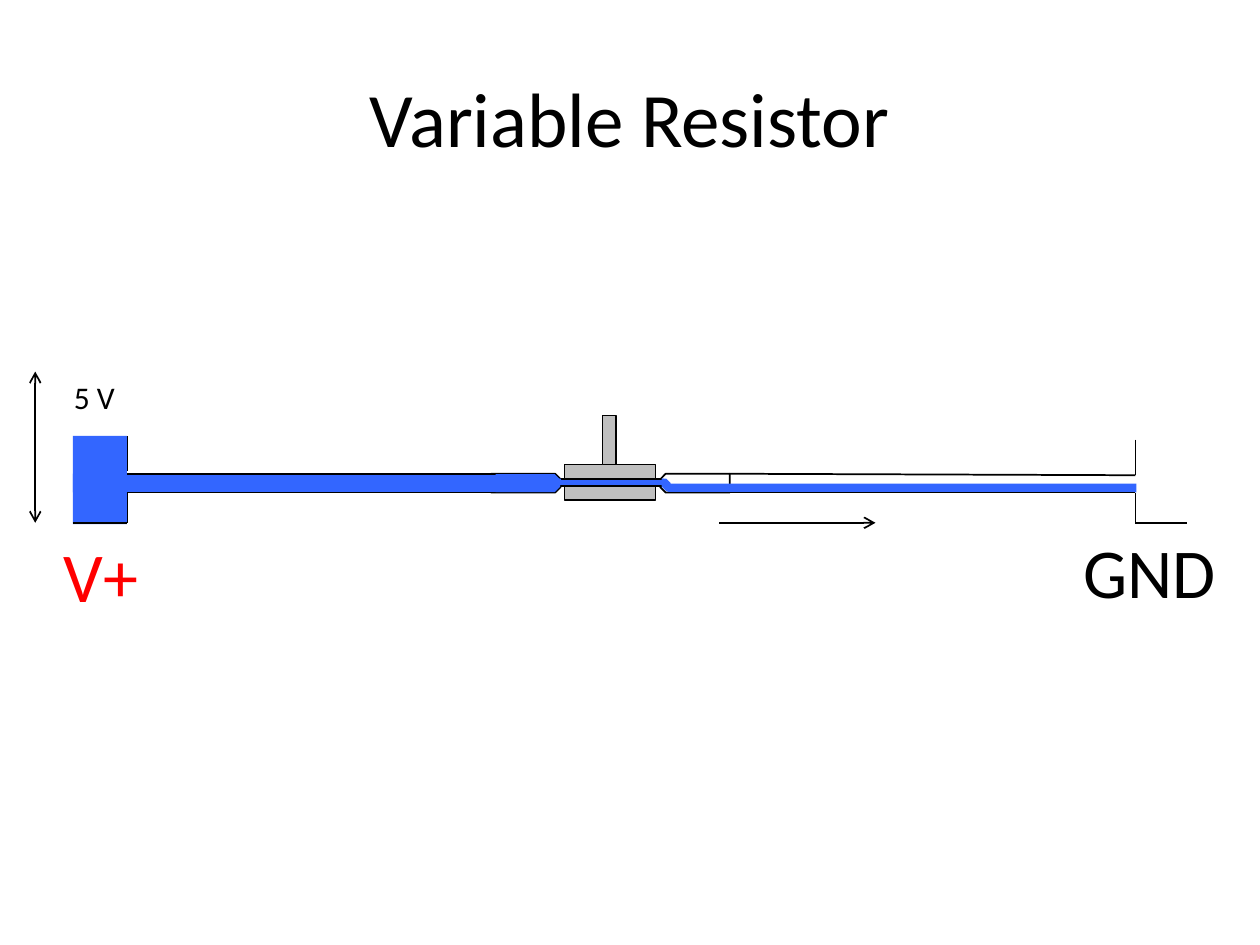
import pptx
import pptx.dml.color
import pptx.enum.shapes
import pptx.enum.text
import pptx.util
from lxml import etree
from pptx.oxml.ns import qn

Cm = pptx.util.Cm
Shape = pptx.enum.shapes.MSO_SHAPE
Align = pptx.enum.text.PP_ALIGN
Anchor = pptx.enum.text.MSO_ANCHOR

BLACK, BLUE, GRAY, RED = "000000", "3366FF", "BFBFBF", "FF0000"


def color(hex_string):
    return pptx.dml.color.RGBColor.from_string(hex_string)


class Diagram:
    font_name = "Calibri"
    line_width = 1

    def __init__(self, slide):
        self.slide = slide

    def shape(self, left, top, width, height, kind=Shape.RECTANGLE, fill=None,
              outline=None, rotation=0, adjustments=()):
        shape = self.slide.shapes.add_shape(
            kind, Cm(left), Cm(top), Cm(width), Cm(height))
        shape.shadow.inherit = False
        shape.rotation = rotation
        for index, value in enumerate(adjustments):
            shape.adjustments[index] = value
        if fill:
            shape.fill.solid()
            shape.fill.fore_color.rgb = color(fill)
        else:
            shape.fill.background()
        if outline:
            shape.line.color.rgb = color(BLACK)
            shape.line.width = pptx.util.Pt(outline)
        else:
            shape.line.fill.background()

    def line(self, x1, y1, x2, y2, arrows=()):
        connector = self.slide.shapes.add_connector(
            pptx.enum.shapes.MSO_CONNECTOR.STRAIGHT, Cm(x1), Cm(y1), Cm(x2), Cm(y2))
        connector.line.color.rgb = color(BLACK)
        connector.line.width = pptx.util.Pt(self.line_width)
        for end in arrows:
            etree.SubElement(connector.line._get_or_add_ln(), qn(f"a:{end}"), type="arrow")
        etree.SubElement(connector._element.spPr, qn("a:effectLst"))

    def text(self, left, top, width, height, words, size, text_color=BLACK,
             align=Align.CENTER, anchor=Anchor.TOP, wrap=True):
        box = self.slide.shapes.add_textbox(Cm(left), Cm(top), Cm(width), Cm(height))
        frame = box.text_frame
        frame.word_wrap = wrap
        frame.vertical_anchor = anchor
        paragraph = frame.paragraphs[0]
        paragraph.text = words
        paragraph.alignment = align
        paragraph.font.name = self.font_name
        paragraph.font.size = pptx.util.Pt(size)
        paragraph.font.color.rgb = color(text_color)


def main():
    presentation = pptx.Presentation()
    presentation.slide_width, presentation.slide_height = Cm(25.4), Cm(19.05)
    diagram = Diagram(presentation.slides.add_slide(presentation.slide_layouts[6]))

    tank_left, tank_right, ground = 1.47, 2.57, 22.89
    pipe_top, pipe_bottom, floor = 9.55, 9.93, 10.54
    neck_top, neck_bottom = 9.65, 9.8
    snip = (0.293, 0)

    # Title
    diagram.text(1.27, 0.76, 22.86, 3.18, "Variable Resistor", 44, anchor=Anchor.MIDDLE)

    # Pipe ends beside the valve, water in the tank and the pipes
    diagram.shape(13.82, 9.04, 0.38, 1.4, Shape.SNIP_2_SAME_RECTANGLE,
                  outline=1, rotation=270, adjustments=snip)
    diagram.shape(13.46, 9.75, 9.45, 0.18, fill=BLUE)
    diagram.shape(10.41, 9.04, 0.38, 1.4, Shape.SNIP_2_SAME_RECTANGLE,
                  outline=1, rotation=90, adjustments=snip)
    diagram.shape(tank_left, 8.79, 1.09, 1.78, fill=BLUE)
    diagram.shape(tank_left, pipe_top, 8.74, 0.38, fill=BLUE)

    # Tank, pipe and ground walls
    for wall in (
        (tank_left, floor, tank_right, floor),
        (ground, pipe_bottom, ground, floor),
        (ground, floor, 23.93, floor),
        (tank_right, pipe_bottom, 10.46, pipe_bottom),
        (tank_right, pipe_top, 10.46, pipe_top),
        (tank_right, pipe_bottom, tank_right, floor),
        (tank_right, 8.79, tank_right, 9.5),
        (ground, 8.86, ground, 9.58),
        (13.44, pipe_bottom, ground, pipe_bottom),
        (14.71, pipe_top, ground, 9.58),
    ):
        diagram.line(*wall)

    # Flow and voltage arrows
    diagram.line(14.5, floor, 17.65, floor, arrows=["tailEnd"])
    diagram.line(0.71, 7.49, 0.71, floor, arrows=["headEnd", "tailEnd"])

    # Labels
    diagram.text(1.24, 7.49, 1.35, 1.02, "5 V", 18, align=Align.LEFT, wrap=False)
    diagram.text(0.41, 10.62, 3.25, 1.96, "V+", 40, RED)
    diagram.text(21.16, 10.54, 4.04, 1.96, "GND", 40)

    # Water through the narrow neck
    diagram.shape(10.46, 9.09, 0.36, 1.3, Shape.SNIP_2_SAME_RECTANGLE,
                  fill=BLUE, rotation=90, adjustments=snip)
    diagram.shape(11.07, neck_top, 2.31, 0.13, fill=BLUE)
    for y in (neck_top, neck_bottom):
        diagram.line(11.3, y, 13.34, y)
    diagram.shape(13.34, neck_top, 0.18, 0.25, Shape.SNIP_2_DIAG_RECTANGLE,
                  fill=BLUE, adjustments=(0, 0.5))

    # Valve jaws and stem
    for part in ((11.38, 9.37, 1.83, 0.28), (11.38, neck_bottom, 1.83, 0.28),
                 (12.14, 8.38, 0.28, 0.99)):
        diagram.shape(*part, fill=GRAY, outline=0.75)

    presentation.save("out.pptx")


if __name__ == "__main__":
    main()
